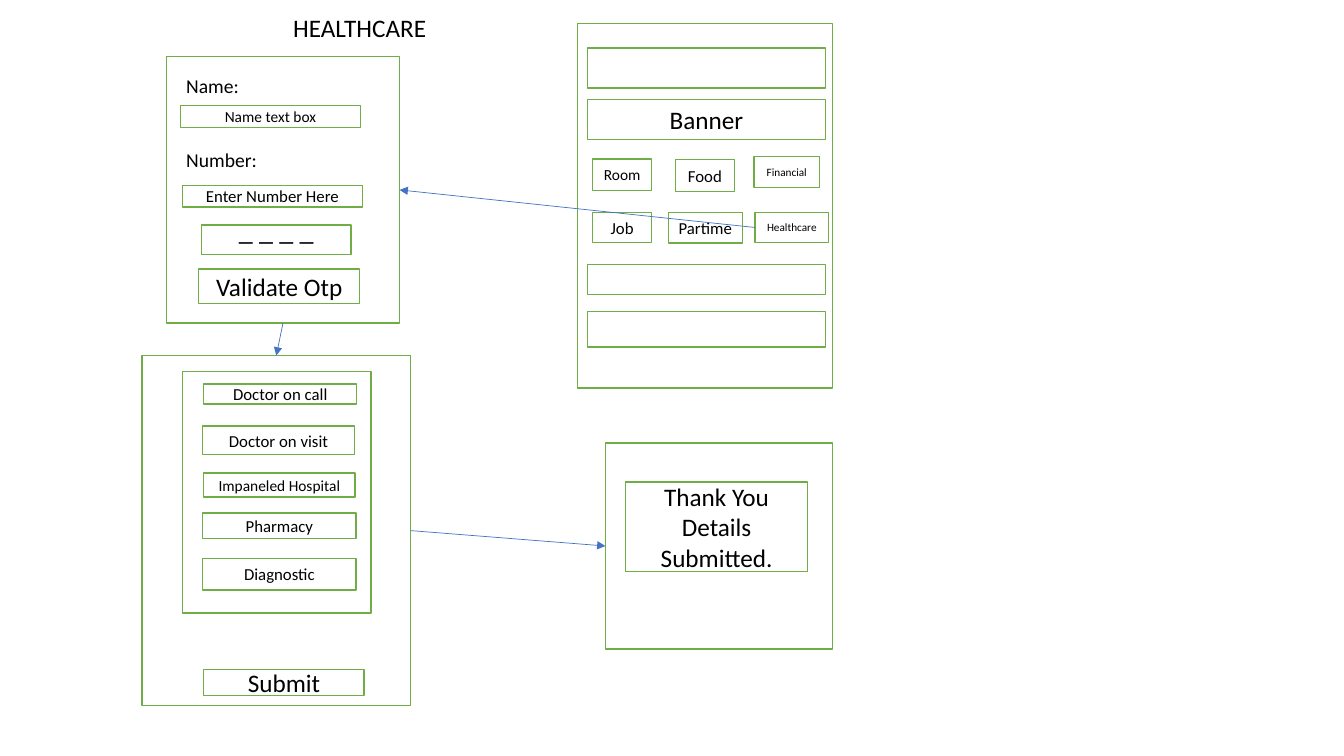
import dataclasses

import lxml.etree
import pptx
import pptx.dml.color
import pptx.enum.shapes
import pptx.enum.text
import pptx.oxml.ns
import pptx.util

Pt = pptx.util.Pt
TOP, LEFT, BOTTOM, RIGHT = range(4)  # connection sites of a rectangle


@dataclasses.dataclass(frozen=True)
class Theme:
    """Colours, type sizes and line widths of the slide."""
    font: str = "Calibri"
    text: str = "000000"
    paper: str = "FFFFFF"
    border: str = "70AD47"
    arrow: str = "4472C4"
    code: int = 20
    title: int = 18
    label: int = 14
    body: int = 12
    small: int = 11
    tiny: int = 8
    border_width: float = 1
    arrow_width: float = 0.5


THEME = Theme()


def rgb(value):
    """Return a colour object for a hex string."""
    return pptx.dml.color.RGBColor.from_string(value)


def apply(obj, formats):
    """Set each attribute named in formats."""
    for name, value in formats.items():
        setattr(obj, name, value)


def write(sp, text, size, align, **frame):
    """Put one styled paragraph into a shape."""
    tf = sp.text_frame
    apply(tf, {"word_wrap": True, **frame})
    p = tf.paragraphs[0]
    p.alignment = align
    r = p.add_run()
    r.text = text
    apply(r.font, {"name": THEME.font, "size": Pt(size)})
    r.font.color.rgb = rgb(THEME.text)


def add_box(s, x, y, w, h, text="", size=THEME.body, **frame):
    """Add a white box with a green border and optional centred text."""
    sp = s.shapes.add_shape(pptx.enum.shapes.MSO_SHAPE.RECTANGLE,
                            Pt(x), Pt(y), Pt(w), Pt(h))
    sp.shadow.inherit = False
    sp.fill.solid()
    sp.fill.fore_color.rgb = rgb(THEME.paper)
    sp.line.color.rgb = rgb(THEME.border)
    sp.line.width = Pt(THEME.border_width)
    if text:
        formats = {"vertical_anchor": pptx.enum.text.MSO_ANCHOR.MIDDLE,
                   "margin_left": Pt(3.6), "margin_right": Pt(3.6), **frame}
        write(sp, text, size, pptx.enum.text.PP_ALIGN.CENTER, **formats)
    return sp


def add_label(s, x, y, w, h, text, size):
    """Add left-aligned text without a border."""
    sp = s.shapes.add_textbox(Pt(x), Pt(y), Pt(w), Pt(h))
    write(sp, text, size, pptx.enum.text.PP_ALIGN.LEFT,
          auto_size=pptx.enum.text.MSO_AUTO_SIZE.SHAPE_TO_FIT_TEXT)


def add_arrow(s, start, start_site, end, end_site):
    """Join two boxes with a thin arrow."""
    sp = s.shapes.add_connector(pptx.enum.shapes.MSO_CONNECTOR.STRAIGHT,
                                0, 0, 0, 0)
    sp.begin_connect(start, start_site)
    sp.end_connect(end, end_site)
    sp.line.color.rgb = rgb(THEME.arrow)
    sp.line.width = Pt(THEME.arrow_width)
    qn = pptx.oxml.ns.qn
    lxml.etree.SubElement(sp.line._get_or_add_ln(), qn("a:tailEnd"),
                          type="triangle")
    lxml.etree.SubElement(sp._element.spPr, qn("a:effectLst"))


def add_portal(s):
    """Draw the start screen and return its Healthcare button."""
    add_box(s, 412.5, 16.6, 182.3, 260.6)
    for y, h, text in ((34.3, 28.5, ""), (71.1, 28.5, "Banner"),
                       (188.8, 21.6, ""), (222.5, 25.4, "")):
        add_box(s, 419.6, y, 170, h, text, THEME.title)
    buttons = (
        (423.3, 113.7, 42.3, 22.3, "Room", THEME.small),
        (482.4, 114, 42.3, 23, "Food", THEME.body),
        (538.6, 112, 46.8, 21.8, "Financial", THEME.tiny),
        (423.4, 151.7, 42, 21.6, "Job", THEME.body),
        (477.4, 151.7, 52.8, 22, "Partime", THEME.body),
        (539.3, 151.7, 52.7, 21.6, "Healthcare", THEME.tiny),
    )
    return [add_box(s, *button) for button in buttons][-1]


def add_login(s):
    """Draw the name and number form and return its panel."""
    panel = add_box(s, 118.9, 40.5, 166.5, 190.3)
    for y, text in ((49.6, "Name:"), (102, "Number:")):
        add_label(s, 125.9, y, 68.4, 24.2, text, THEME.label)
    add_box(s, 128.9, 75.5, 128.7, 15.5, "Name text box", THEME.small)
    add_box(s, 130.3, 132.4, 128.7, 15.5, "Enter Number Here")
    # The deeper bottom margin lifts the underscores to mid-box.
    add_box(s, 144, 160.7, 106.6, 21, "_ _ _ _", THEME.code,
            margin_top=0, margin_bottom=Pt(14.6))
    add_box(s, 142, 192.1, 115, 24.6, "Validate Otp", THEME.title)
    return panel


def add_services(s):
    """Draw the list of services and return its panel."""
    panel = add_box(s, 101.5, 254, 191.7, 250)
    add_box(s, 130.4, 265.2, 134.6, 172.7)
    services = (
        (145.6, 274.3, 109.3, 14.4, "Doctor on call", THEME.body),
        (144.8, 304.4, 108.3, 20.2, "Doctor on visit", THEME.body),
        (145.5, 337.8, 108.2, 17.3, "Impaneled Hospital", THEME.small),
        (144.8, 366.5, 109.6, 18.2, "Pharmacy", THEME.body),
        (144.8, 398.9, 109.6, 22.5, "Diagnostic", THEME.body),
        (145.5, 478.3, 114.7, 18.6, "Submit", THEME.title),
    )
    for service in services:
        add_box(s, *service)
    return panel


def add_thanks(s):
    """Draw the closing screen and return its panel."""
    panel = add_box(s, 432.5, 316.4, 162.3, 147.2)
    add_box(s, 446.9, 344.3, 129.9, 63.9, "Thank You Details Submitted.",
            THEME.title)
    return panel


def main():
    """Build the slide and save it."""
    prs = pptx.Presentation()
    apply(prs, {"slide_width": Pt(960), "slide_height": Pt(540)})
    s = prs.slides.add_slide(prs.slide_layouts[6])
    healthcare = add_portal(s)
    login = add_login(s)
    services = add_services(s)
    thanks = add_thanks(s)
    add_label(s, 202.3, 5, 166.3, 29, "HEALTHCARE", THEME.title)
    add_arrow(s, healthcare, LEFT, login, RIGHT)
    add_arrow(s, login, BOTTOM, services, TOP)
    add_arrow(s, services, RIGHT, thanks, LEFT)
    prs.save("out.pptx")


main()
